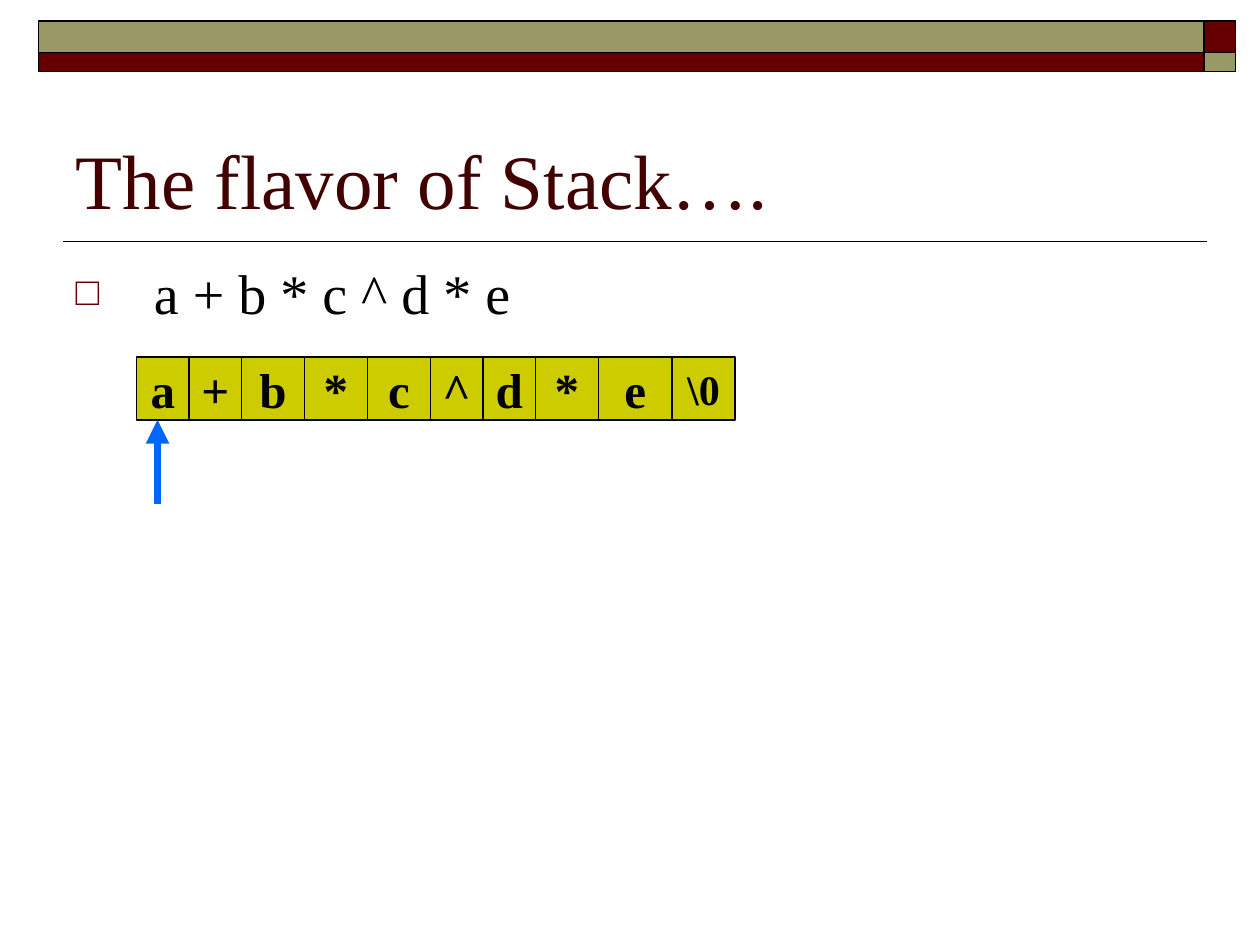
import pptx
import pptx.dml.color
import pptx.enum.shapes
import pptx.enum.text
import pptx.oxml
import pptx.oxml.ns
import pptx.util

Pt = pptx.util.Pt
ANCHOR = pptx.enum.text.MSO_ANCHOR
ALIGN = pptx.enum.text.PP_ALIGN

COLORS = {
    "title": "420000",
    "text": "000000",
    "line": "000000",
    "maroon": "660000",
    "olive": "999966",
    "cell": "CCCC00",
    "pointer": "0066FF",
}
FONT = "Times New Roman"
CELLS = [("a", 30), ("+", 30), ("b", 36), ("*", 36), ("c", 36),
         ("^", 30), ("d", 30), ("*", 36), ("e", 42), ("\\0", 36)]


def rgb(name):
    return pptx.dml.color.RGBColor.from_string(COLORS[name])


def set_attributes(target, values):
    for name, value in values.items():
        setattr(target, name, value)


def append_xml(parent, tag, content="", attributes=""):
    namespace = pptx.oxml.ns.nsdecls("a")
    parent.append(pptx.oxml.parse_xml(
        f"<a:{tag} {namespace} {attributes}>{content}</a:{tag}>"))


def place(shape, box):
    names = ("left", "top", "width", "height")
    set_attributes(shape, dict(zip(names, map(Pt, box))))


def write(shape, text, size, color, anchor, align, bold=False, wrap=True):
    """Fill a shape with one formatted paragraph and return the paragraph."""
    frame = shape.text_frame
    frame.text = text
    set_attributes(frame, {
        "auto_size": pptx.enum.text.MSO_AUTO_SIZE.NONE,
        "word_wrap": wrap,
        "vertical_anchor": anchor,
    })
    paragraph = frame.paragraphs[0]
    set_attributes(paragraph, {"alignment": align, "space_before": Pt(0)})
    set_attributes(paragraph.runs[0].font,
                   {"name": FONT, "size": Pt(size), "bold": bold})
    paragraph.runs[0].font.color.rgb = rgb(color)
    return paragraph


def add_rectangle(slide, box, fill, line_width):
    shape = slide.shapes.add_shape(
        pptx.enum.shapes.MSO_SHAPE.RECTANGLE, *map(Pt, box))
    shape.shadow.inherit = False
    shape.fill.solid()
    shape.fill.fore_color.rgb = rgb(fill)
    shape.line.color.rgb = rgb("line")
    shape.line.width = Pt(line_width)
    return shape


def add_line(slide, start, end, color, width):
    connector = slide.shapes.add_connector(
        pptx.enum.shapes.MSO_CONNECTOR.STRAIGHT, *map(Pt, start + end))
    connector.line.color.rgb = rgb(color)
    connector.line.width = Pt(width)
    append_xml(connector._element.spPr, "effectLst")
    return connector


def add_banner(slide, box):
    """Two stacked bars, each ending in a block of the other bar's colour."""
    left, top, width, height = box
    block, upper = 18, 18
    bar = width - block
    rows = [(top, upper, "olive", "maroon"),
            (top + upper, height - upper, "maroon", "olive")]
    for row_top, row_height, bar_color, block_color in rows:
        add_rectangle(slide, (left, row_top, bar, row_height), bar_color, 1)
        add_rectangle(slide, (left + bar, row_top, block, row_height),
                      block_color, 1)


def add_title(slide, box):
    """Title with a rule below it."""
    left, top, width, height = box
    place(slide.shapes.title, box)
    write(slide.shapes.title, "The flavor of Stack….", 44, "title",
          ANCHOR.BOTTOM, ALIGN.LEFT)
    rule_top = top + height + 6
    add_line(slide, (left + width + 6, rule_top), (left, rule_top), "line", 1)


def add_expression(slide, box):
    body = slide.placeholders[1]
    place(body, box)
    paragraph = write(body, " a + b * c ^ d * e", 32, "text",
                      ANCHOR.TOP, ALIGN.LEFT)
    properties = paragraph._p.get_or_add_pPr()
    indent = Pt(36.75)
    properties.set("marL", str(indent))
    properties.set("indent", str(-indent))
    append_xml(properties, "buClr", f'<a:srgbClr val="{COLORS["maroon"]}"/>')
    append_xml(properties, "buSzPct", attributes='val="70000"')
    append_xml(properties, "buFont", attributes=f'typeface="{FONT}"')
    append_xml(properties, "buChar", attributes='char="□"')


def add_character_array(slide, box):
    """Row of character cells, with a pointer below the first one."""
    left, top, _, height = box
    cell_left = left
    for text, width in CELLS:
        cell = add_rectangle(slide, (cell_left, top, width, height),
                             "cell", 0.75)
        write(cell, text, 28 if len(text) == 1 else 24, "text",
              ANCHOR.MIDDLE, ALIGN.CENTER, bold=True, wrap=False)
        cell_left += width
    bottom = top + height
    pointer = add_line(slide, (left + 12, bottom + 48), (left + 12, bottom),
                       "pointer", 4.5)
    append_xml(pointer.line._get_or_add_ln(), "tailEnd",
               attributes='type="triangle"')


def main():
    presentation = pptx.Presentation()
    set_attributes(presentation,
                   {"slide_width": Pt(720), "slide_height": Pt(540)})
    slide = presentation.slides.add_slide(presentation.slide_layouts[1])
    add_banner(slide, (22, 12, 684, 29))
    add_title(slide, (36, 42, 648, 90))
    add_expression(slide, (36, 144, 372, 54))
    add_character_array(slide, (78, 204, 342, 36))
    presentation.save("out.pptx")


if __name__ == "__main__":
    main()
